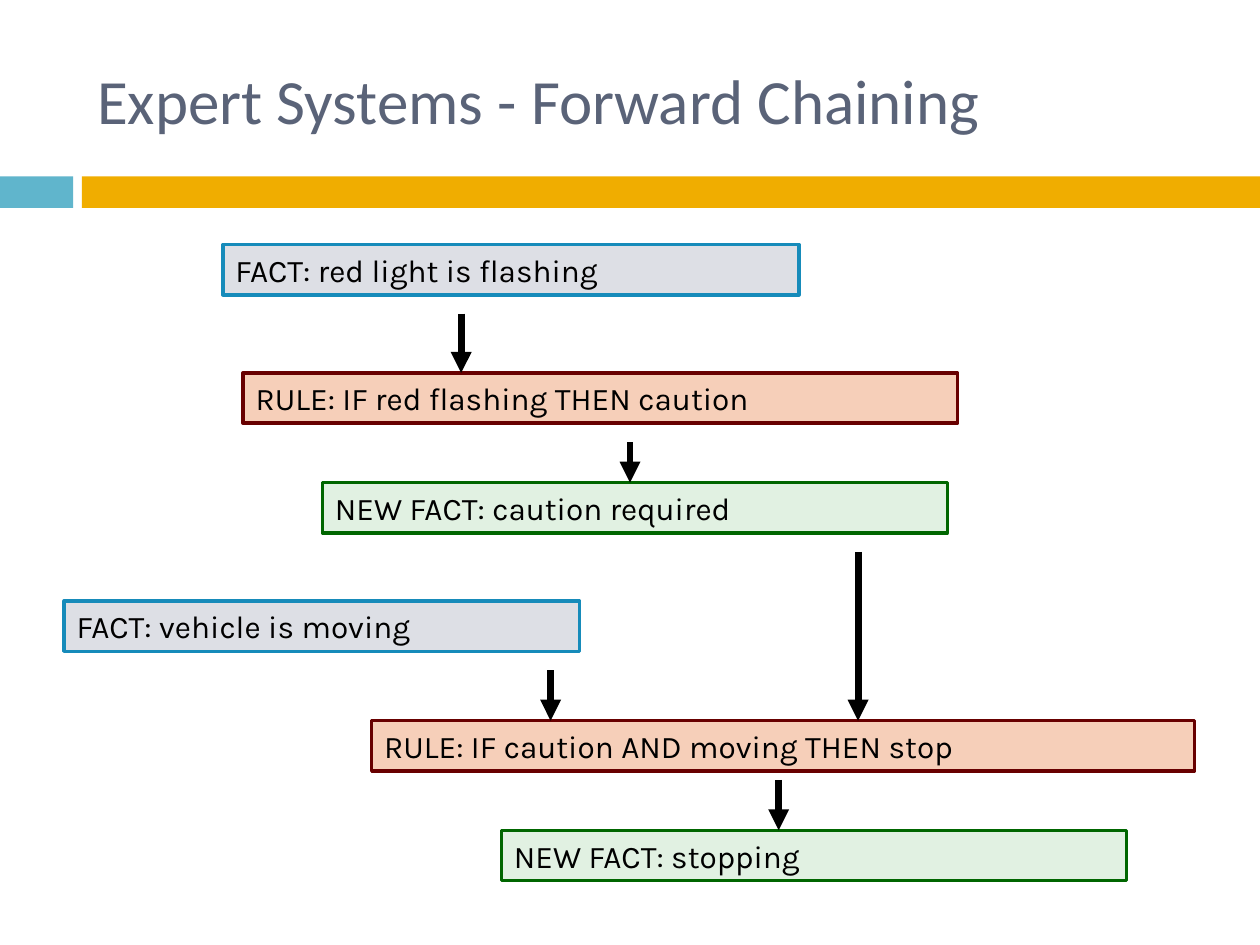
from pptx import Presentation
from pptx.dml.color import RGBColor
from pptx.enum.shapes import MSO_CONNECTOR as Connector, MSO_SHAPE as Shape
from pptx.enum.text import MSO_ANCHOR as Anchor, PP_ALIGN as Align
from pptx.oxml.ns import qn
from pptx.util import Inches, Pt
from lxml.etree import SubElement

BLACK = RGBColor(0x00, 0x00, 0x00)
TITLE_GREY = RGBColor(0x5A, 0x63, 0x78)
BAND_BLUE = RGBColor(0x60, 0xB5, 0xCC)
BAND_GOLD = RGBColor(0xF0, 0xAD, 0x00)
FACT = (RGBColor(0xDD, 0xDF, 0xE5), RGBColor(0x16, 0x8B, 0xBA))
RULE = (RGBColor(0xF6, 0xCF, 0xB9), RGBColor(0x68, 0x00, 0x00))
NEW_FACT = (RGBColor(0xE1, 0xF1, 0xE2), RGBColor(0x00, 0x66, 0x00))

BOX_HEIGHT = 0.4

STATEMENTS = [
    ("FACT: red light is flashing", FACT, 1.77, 1.94, 4.57),
    ("RULE: IF red flashing THEN caution", RULE, 1.93, 2.96, 5.67),
    ("NEW FACT: caution required", NEW_FACT, 2.56, 3.83, 4.96),
    ("RULE: IF caution AND moving THEN stop", RULE, 2.95, 5.72, 6.53),
    ("FACT: vehicle is moving", FACT, 0.51, 4.77, 4.09),
    ("NEW FACT: stopping", NEW_FACT, 3.98, 6.59, 4.96),
]

ARROWS = [
    (3.66, 2.49, 2.96),
    (5, 3.51, 3.83),
    (6.81, 4.38, 5.72),
    (4.37, 5.32, 5.72),
    (6.18, 6.19, 6.59),
]


def format_text(frame, size, font, color):
    para = frame.paragraphs[0]
    para.alignment = Align.LEFT
    frame.vertical_anchor = Anchor.MIDDLE
    for span in para.runs:
        span.font.size = Pt(size)
        span.font.name = font
        span.font.color.rgb = color


def add_rectangle(page, left, top, width, height, fill):
    box = page.shapes.add_shape(
        Shape.RECTANGLE, Inches(left), Inches(top), Inches(width), Inches(height)
    )
    box.shadow.inherit = False
    box.fill.solid()
    box.fill.fore_color.rgb = fill
    box.line.fill.background()
    return box


def add_title(page, text):
    title = page.shapes.title
    title.left, title.top = Inches(0.67), Inches(0.25)
    title.width, title.height = Inches(8.92), Inches(1.08)
    title.text_frame.text = text
    format_text(title.text_frame, 36, "Calibri", TITLE_GREY)


def add_statement(page, text, colors, left, top, width):
    fill, outline = colors
    box = add_rectangle(page, left, top, width, BOX_HEIGHT, fill)
    box.line.color.rgb = outline
    box.line.width = Pt(2)
    box.text_frame.word_wrap = True
    box.text_frame.text = text
    format_text(box.text_frame, 18, "Karla", BLACK)


def add_down_arrow(page, x, start, end):
    arrow = page.shapes.add_connector(
        Connector.STRAIGHT, Inches(x), Inches(start), Inches(x), Inches(end)
    )
    arrow.line.color.rgb = BLACK
    arrow.line.width = Pt(4)
    SubElement(arrow.line._get_or_add_ln(), qn("a:tailEnd"), type="triangle")
    SubElement(arrow._element.spPr, qn("a:effectLst"))


def main():
    deck = Presentation()
    deck.slide_width, deck.slide_height = Inches(10), Inches(7.5)
    page = deck.slides.add_slide(deck.slide_layouts[5])
    add_rectangle(page, 0, 1.4, 0.58, 0.25, BAND_BLUE)
    add_rectangle(page, 0.65, 1.4, 9.35, 0.25, BAND_GOLD)
    add_title(page, "Expert Systems - Forward Chaining")
    for statement in STATEMENTS:
        add_statement(page, *statement)
    for arrow in ARROWS:
        add_down_arrow(page, *arrow)
    deck.save("out.pptx")


if __name__ == "__main__":
    main()
